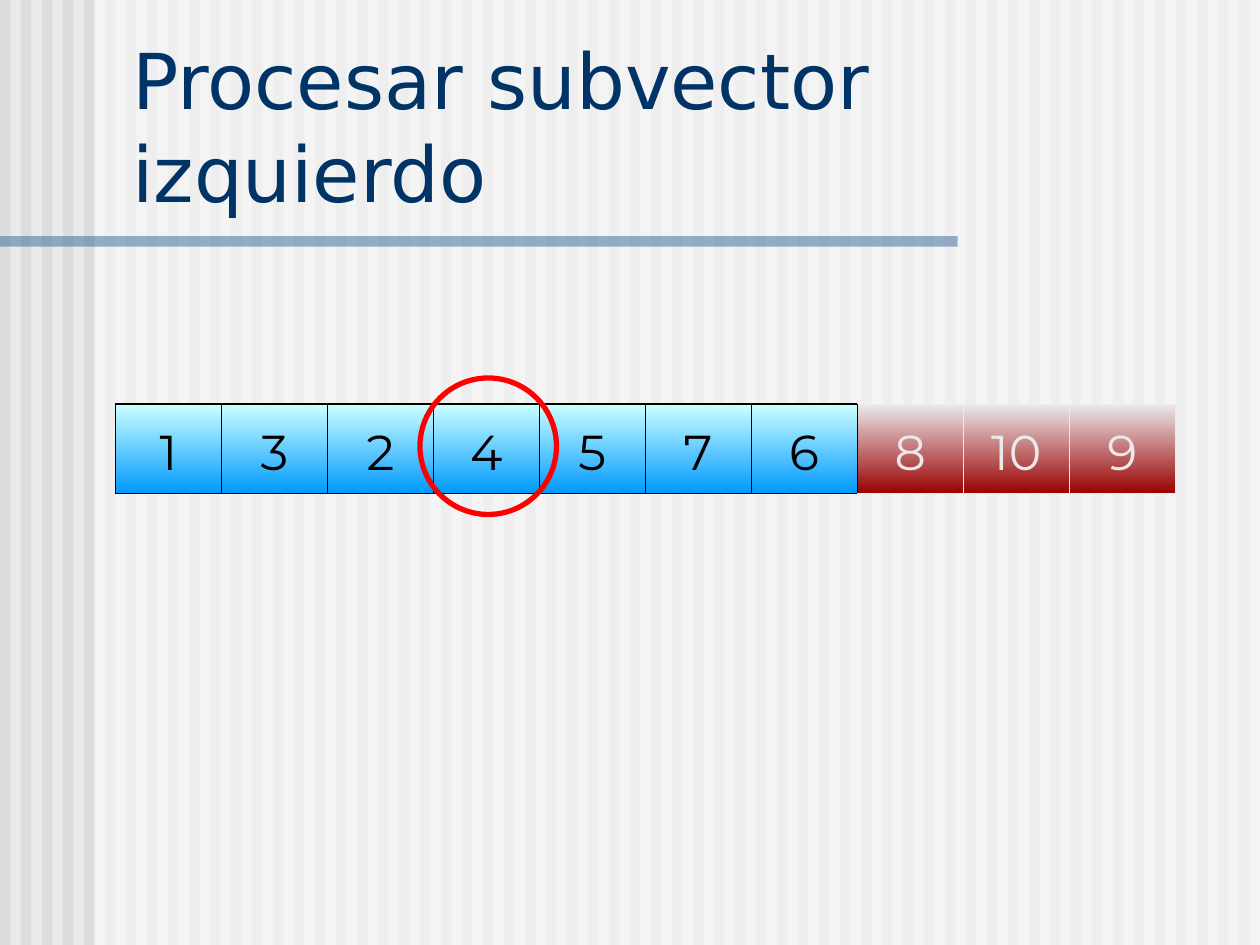
import pptx
import pptx.util
import pptx.dml.color
import pptx.enum.shapes
import pptx.enum.text
import pptx.oxml.ns
import lxml.etree

Pt = pptx.util.Pt
RGBColor = pptx.dml.color.RGBColor
qn = pptx.oxml.ns.qn
MSO_SHAPE = pptx.enum.shapes.MSO_SHAPE

BLACK = RGBColor(0x00, 0x00, 0x00)
WHITE = RGBColor(0xFF, 0xFF, 0xFF)
PALE_GRAY = RGBColor(0xEA, 0xEA, 0xEA)
STRIPE_GRAY = RGBColor(0xDD, 0xDD, 0xDD)
STEEL_BLUE = RGBColor(0x33, 0x66, 0x99)
NAVY = RGBColor(0x00, 0x33, 0x66)
CYAN = RGBColor(0xCC, 0xFF, 0xFF)
BLUE = RGBColor(0x00, 0x99, 0xFF)
DARK_RED = RGBColor(0x9A, 0x00, 0x00)
RED = RGBColor(0xFF, 0x00, 0x00)
NO_TABLE_STYLE = "{2D5ABB26-0587-4C30-8999-92F81FD0307C}"


def add_bar(group, left, top, width, height, color, opacity=100):
    bar = group.shapes.add_shape(MSO_SHAPE.RECTANGLE, Pt(left), Pt(top), Pt(width), Pt(height))
    bar.shadow.inherit = False
    bar.fill.solid()
    bar.fill.fore_color.rgb = color
    bar.line.fill.background()
    if opacity < 100:
        color_element = bar.element.spPr.find(qn("a:solidFill"))[0]
        lxml.etree.SubElement(color_element, qn("a:alpha"), val=str(opacity * 1000))


def set_borders(cell, borders):
    properties = cell._tc.get_or_add_tcPr()
    for position, side in enumerate(side for side in "LRTB" if side in borders):
        color, width = borders[side]
        line = lxml.etree.Element(qn("a:ln" + side), w=str(int(Pt(width))))
        fill = lxml.etree.SubElement(line, qn("a:solidFill"))
        lxml.etree.SubElement(fill, qn("a:srgbClr"), val=str(color))
        properties.insert(position, line)


presentation = pptx.Presentation()
presentation.slide_width = Pt(720)
presentation.slide_height = Pt(540)
slide = presentation.slides.add_slide(presentation.slide_layouts[5])
slide.background.fill.solid()
slide.background.fill.fore_color.rgb = PALE_GRAY

backdrop = slide.shapes.add_group_shape()
for stripe in range(60):
    add_bar(backdrop, stripe * 12, 0, 6, 540, STRIPE_GRAY)
add_bar(backdrop, 54, 0, 666, 540, WHITE, 50)
add_bar(backdrop, 0, 135, 547.2, 6, STEEL_BLUE, 50)

column_widths = [60.6, 60.6, 46.6, 14, 60.4, 15.6, 45] + [60.6] * 5
row_heights = [51, 51, 92.4]
vector_frame = slide.shapes.add_table(
    3, 12, Pt(66), Pt(180), Pt(sum(column_widths)), Pt(sum(row_heights)))
vector = vector_frame.table
vector.first_row = False
vector.horz_banding = False
vector_frame.element.find(".//" + qn("a:tableStyleId")).text = NO_TABLE_STYLE
for column, width in zip(vector.columns, column_widths):
    column.width = Pt(width)
for row, height in zip(vector.rows, row_heights):
    row.height = Pt(height)
for row, first, last in [(0, 2, 3), (0, 5, 6), (1, 2, 3), (1, 5, 6), (2, 3, 5)]:
    vector.cell(row, first).merge(vector.cell(row, last))

numbers = {0: "1", 1: "3", 2: "2", 4: "4", 5: "5", 7: "7", 8: "6", 9: "8", 10: "10", 11: "9"}
for column in range(12):
    left_part = column < 9
    edge = (BLACK, 1.08) if left_part else (PALE_GRAY, 0.45)
    inner = (BLACK if left_part else PALE_GRAY, 0.45)
    left = edge if column == 0 else (BLACK, 0.45) if column == 9 else inner
    set_borders(vector.cell(0, column), {"B": edge})
    set_borders(vector.cell(2, column), {"T": edge})

    cell = vector.cell(1, column)
    if column not in numbers:
        set_borders(cell, {"R": inner, "T": edge, "B": edge})
        continue
    cell.fill.gradient()
    cell.fill.gradient_angle = 270
    stops = cell.fill.gradient_stops
    stops[0].color.rgb = CYAN if left_part else PALE_GRAY
    stops[1].color.rgb = BLUE if left_part else DARK_RED
    set_borders(cell, {"L": left, "R": inner, "T": edge, "B": edge})
    cell.text_frame.text = numbers[column]
    number = cell.text_frame.paragraphs[0]
    number.alignment = pptx.enum.text.PP_ALIGN.CENTER
    cell.margin_top = Pt(10.6)
    font = number.runs[0].font
    font.name = "Montserrat"
    font.size = Pt(28)
    font.color.rgb = BLACK if left_part else PALE_GRAY

title = slide.shapes.title
slide.shapes.element.append(title.element)
title.left, title.top, title.width, title.height = Pt(68.4), Pt(15), Pt(643), Pt(113)
title.text_frame.text = "Procesar subvector izquierdo"
title.text_frame.word_wrap = True
title.text_frame.auto_size = pptx.enum.text.MSO_AUTO_SIZE.NONE
title.text_frame.vertical_anchor = pptx.enum.text.MSO_ANCHOR.BOTTOM
heading = title.text_frame.paragraphs[0]
heading.alignment = pptx.enum.text.PP_ALIGN.LEFT
heading.runs[0].font.name = "DejaVu Sans"
heading.runs[0].font.size = Pt(44)
heading.runs[0].font.color.rgb = NAVY

pivot_ring = slide.shapes.add_shape(MSO_SHAPE.OVAL, Pt(240), Pt(216), Pt(78), Pt(78))
pivot_ring.shadow.inherit = False
pivot_ring.fill.background()
pivot_ring.line.color.rgb = RED
pivot_ring.line.width = Pt(3)

presentation.save("out.pptx")
